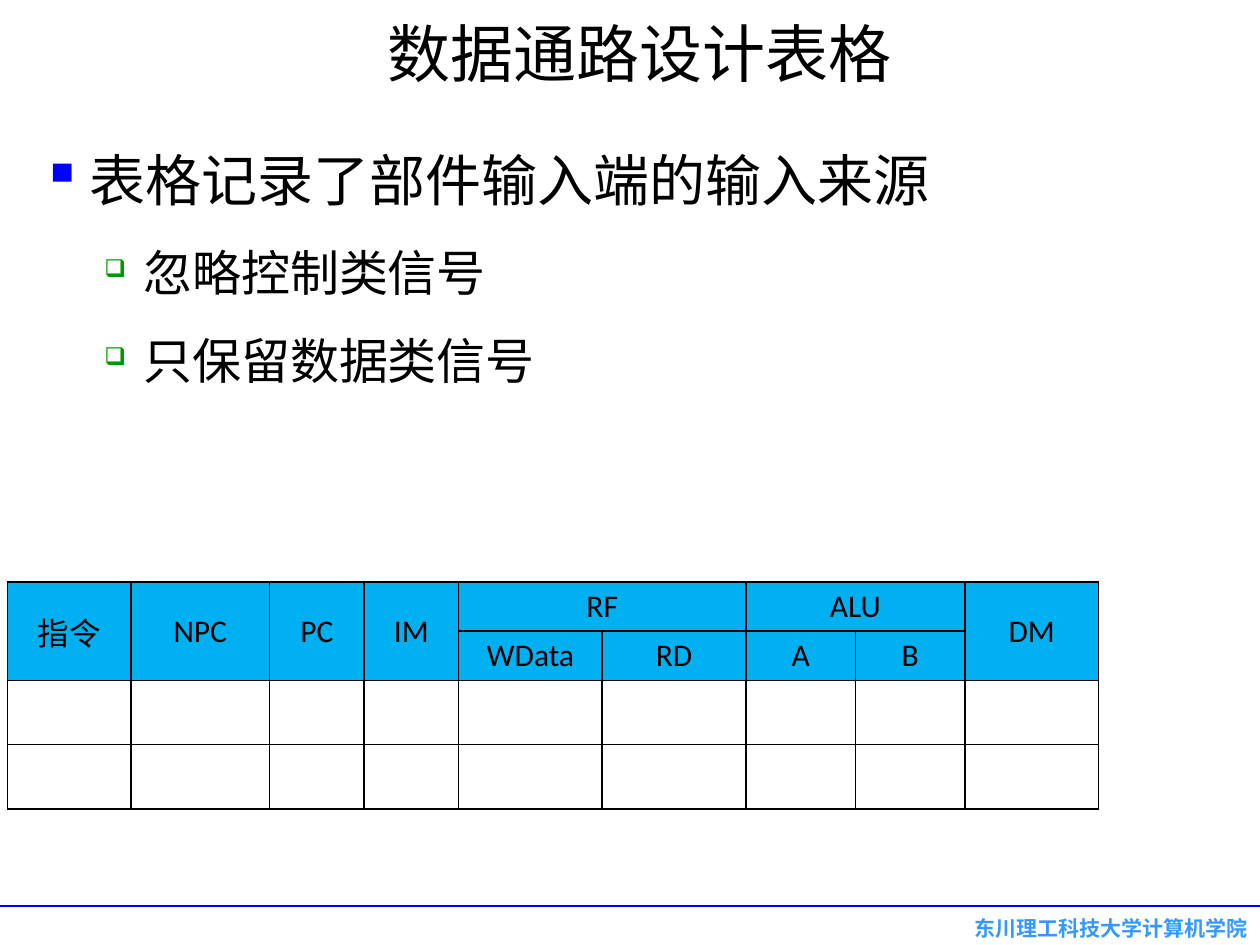
from lxml import etree
from pptx import Presentation
from pptx.dml.color import RGBColor
from pptx.enum.shapes import MSO_CONNECTOR
from pptx.enum.text import MSO_ANCHOR, PP_ALIGN
from pptx.oxml import parse_xml
from pptx.oxml.ns import nsdecls, qn
from pptx.util import Inches, Pt

STRAIGHT = MSO_CONNECTOR.STRAIGHT
TOP, MIDDLE = MSO_ANCHOR.TOP, MSO_ANCHOR.MIDDLE
LEFT, CENTER, RIGHT = PP_ALIGN.LEFT, PP_ALIGN.CENTER, PP_ALIGN.RIGHT
TITLE_ONLY = 5

SERIF, SANS, CJK = "Times New Roman", "Calibri", "Noto Sans CJK SC"
BLACK, WHITE, BLUE, GREEN = "000000", "FFFFFF", "0000FF", "009900"
HEADER_FILL, FOOTER_COLOR = "00B0F0", "3399FF"

# Per level: size, left indent, bullet hang, bullet, bullet colour, bullet size %
LEVELS = [
    (32, 0.38, 0.38, "▪", BLUE, 100),
    (28, 0.81, 0.31, "❑", GREEN, 50),
]
BULLETS = [
    (0, "表格记录了部件输入端的输入来源"),
    (1, "忽略控制类信号"),
    (1, "只保留数据类信号"),
]
# Header groups: name and the ports below it
HEADERS = [
    ("指令", []), ("NPC", []), ("PC", []), ("IM", []),
    ("RF", ["WData", "RD"]), ("ALU", ["A", "B"]), ("DM", []),
]
COL_WIDTHS = [0.98, 1.1, 0.75, 0.75, 1.14, 1.14, 0.87, 0.87, 1.06]
ROW_HEIGHTS = [0.39, 0.39, 0.51, 0.51]


def rgb(value):
    return RGBColor.from_string(value)


class Deck:
    """Draws on the current slide, placing things on a 100 by 100 grid."""

    def __init__(self, width, height):
        self.prs = Presentation()
        self.prs.slide_width, self.prs.slide_height = Inches(width), Inches(height)
        self.s = self.prs.slides.add_slide(self.prs.slide_layouts[TITLE_ONLY])

    def grid(self, x, y):
        return int(self.prs.slide_width * x / 100), int(self.prs.slide_height * y / 100)

    def style(self, p, size, font, color=BLACK, bold=False, align=LEFT):
        p.alignment = align
        for r in p.runs:
            r.font.size, r.font.name, r.font.bold = Pt(size), font, bold
            r.font.color.rgb = rgb(color)
            etree.SubElement(r.font._element, qn("a:ea"), typeface=CJK)

    def title(self, text, x, y, w, h):
        sp = self.s.shapes.title
        sp.left, sp.top = self.grid(x, y)
        sp.width, sp.height = self.grid(w, h)
        sp.text_frame.text = text
        sp.text_frame.vertical_anchor = MIDDLE
        self.style(sp.text_frame.paragraphs[0], 36, SERIF, align=CENTER)

    def text_box(self, x, y, w, h):
        tf = self.s.shapes.add_textbox(*self.grid(x, y), *self.grid(w, h)).text_frame
        tf.word_wrap, tf.vertical_anchor = True, TOP
        return tf

    def bullets(self, items, x, y, w, h):
        tf = self.text_box(x, y, w, h)
        tf.text = "\n".join(text for _, text in items)
        for p, (level, _) in zip(tf.paragraphs, items):
            size, indent, hang, char, color, percent = LEVELS[level]
            p.level, p.line_spacing = level, 1.5
            self.style(p, size, SERIF)
            pPr = p._p.get_or_add_pPr()
            pPr.set("marL", str(Inches(indent)))
            pPr.set("indent", str(-Inches(hang)))
            bu_color = etree.SubElement(pPr, qn("a:buClr"))
            etree.SubElement(bu_color, qn("a:srgbClr"), val=color)
            etree.SubElement(pPr, qn("a:buSzPct"), val=str(percent * 1000))
            etree.SubElement(pPr, qn("a:buChar"), char=char)

    def footer(self, text, x, y, w, h):
        tf = self.text_box(x, y, w, h)
        tf.margin_top = tf.margin_bottom = 0
        tf.text = text
        self.style(tf.paragraphs[0], 12, CJK, FOOTER_COLOR, True, RIGHT)

    def rule(self, y):
        line = self.s.shapes.add_connector(STRAIGHT, *self.grid(0, y), *self.grid(100, y))
        line.line.color.rgb, line.line.width = rgb(BLUE), Pt(1.5)
        etree.SubElement(line._element.spPr, qn("a:effectLst"))

    def format_cell(self, cell, fill):
        tcPr = cell._tc.get_or_add_tcPr()
        for side in "LRTB":
            tcPr.append(parse_xml(
                f'<a:ln{side} {nsdecls("a")} w="{Pt(1)}"><a:solidFill>'
                f'<a:srgbClr val="{BLACK}"/></a:solidFill></a:ln{side}>'))
        cell.fill.solid()
        cell.fill.fore_color.rgb = rgb(fill)
        cell.vertical_anchor = MIDDLE
        cell.margin_left = cell.margin_right = Inches(0.04)
        cell.margin_top = cell.margin_bottom = 0

    def header_cell(self, cell, text, font):
        cell.text_frame.text = text
        self.style(cell.text_frame.paragraphs[0], 18, font, align=CENTER)

    def table(self, headers, x, y):
        frame = self.s.shapes.add_table(
            len(ROW_HEIGHTS), len(COL_WIDTHS), *self.grid(x, y),
            Inches(sum(COL_WIDTHS)), Inches(sum(ROW_HEIGHTS)))
        table = frame.table
        for column, width in zip(table.columns, COL_WIDTHS):
            column.width = Inches(width)
        for i, (row, height) in enumerate(zip(table.rows, ROW_HEIGHTS)):
            row.height = Inches(height)
            for cell in row.cells:
                self.format_cell(cell, HEADER_FILL if i < 2 else WHITE)
        col = 0
        for name, ports in headers:
            span = max(len(ports), 1)
            last_row = 0 if ports else 1
            table.cell(0, col).merge(table.cell(last_row, col + span - 1))
            self.header_cell(table.cell(0, col), name, SANS if name.isascii() else CJK)
            for i, port in enumerate(ports):
                self.header_cell(table.cell(1, col + i), port, SANS)
            col += span


def main():
    deck = Deck(10, 7.5)
    deck.footer("东川理工科技大学计算机学院", 45.3, 96.93, 54.7, 2.67)
    deck.rule(95.87)
    deck.title("数据通路设计表格", 2.3, 0.67, 96.9, 9.73)
    deck.bullets(BULLETS, 2.3, 11.2, 95.3, 30.4)
    deck.table(HEADERS, 0.6, 61.6)
    deck.prs.save("out.pptx")


if __name__ == "__main__":
    main()
